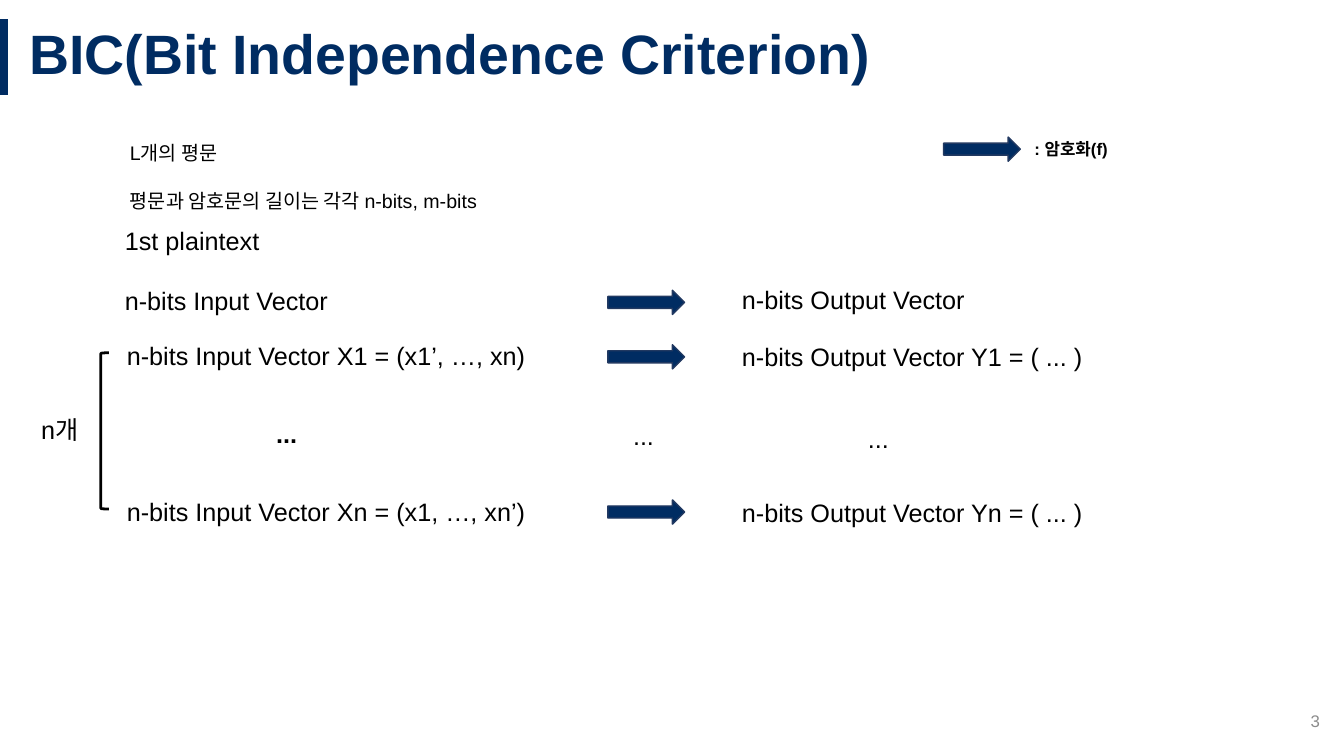
from lxml import etree
from pptx import Presentation
from pptx.dml.color import RGBColor
from pptx.enum.shapes import MSO_CONNECTOR, MSO_SHAPE
from pptx.enum.text import MSO_ANCHOR, PP_ALIGN
from pptx.oxml.ns import qn
from pptx.util import Inches, Pt

NAVY = RGBColor(0x00, 0x2C, 0x62)
OUTLINE = RGBColor(0x22, 0x39, 0x61)
BLACK = RGBColor(0x00, 0x00, 0x00)
GRAY = RGBColor(0x8C, 0x8C, 0x8C)
STRAIGHT = MSO_CONNECTOR.STRAIGHT
RIGHT_ARROW = MSO_SHAPE.RIGHT_ARROW
LEFT_BRACKET = MSO_SHAPE.LEFT_BRACKET
MIDDLE = MSO_ANCHOR.MIDDLE
LEFT, RIGHT = PP_ALIGN.LEFT, PP_ALIGN.RIGHT

INPUT_COLUMN, ARROW_COLUMN, OUTPUT_COLUMN = 1.16, 6.03, 7.26
INPUT_WIDTH, OUTPUT_WIDTH, LINE_HEIGHT = 5.07, 4.95, 0.4
FIRST_ROW, LAST_ROW = 3.33, 4.87
ARROW_DROP = 0.09

presentation = Presentation()
presentation.slide_width = Inches(13.33)
presentation.slide_height = Inches(7.5)
slide = presentation.slides.add_slide(presentation.slide_layouts[5])


def write_text(shape, lines, size=18, bold=False, color=BLACK, **paragraph_format):
    frame = shape.text_frame
    frame.word_wrap = True
    frame.text = "\n".join(lines)
    font_format = {"name": "Arial", "size": Pt(size), "bold": bold}
    for paragraph in frame.paragraphs:
        for name, value in paragraph_format.items():
            setattr(paragraph, name, value)
        for run in paragraph.runs:
            for name, value in font_format.items():
                setattr(run.font, name, value)
            run.font.color.rgb = color
    return frame


def add_outlined(kind, left, top, width, height, color, weight):
    shape = slide.shapes.add_shape(
        kind, Inches(left), Inches(top), Inches(width), Inches(height))
    shape.shadow.inherit = False
    shape.line.color.rgb = color
    shape.line.width = Pt(weight)
    return shape


bar = slide.shapes.add_connector(
    STRAIGHT, Inches(0.04), Inches(0.19), Inches(0.04), Inches(0.94))
bar.line.color.rgb = NAVY
bar.line.width = Pt(6)
etree.SubElement(bar._element.spPr, qn("a:effectLst"))

title = slide.shapes.title
title.left, title.top = Inches(0.19), Inches(0.19)
title.width, title.height = Inches(13.15), Inches(0.75)
title_frame = write_text(
    title, ["BIC(Bit Independence Criterion)"], 39.6, True, NAVY,
    alignment=LEFT, line_spacing=0.9)
title_frame.vertical_anchor = MIDDLE

texts = [
    (1.19, 1.12, 6.1, 1.03, ["L개의 평문", "평문과 암호문의 길이는 각각 n-bits, m-bits"],
     {"size": 14, "line_spacing": 2.0}),
    (10.16, 1.33, 1.29, 0.29, [": 암호화(f)"], {"size": 12, "bold": True}),
    (1.14, 2.19, INPUT_WIDTH, 1, ["1st plaintext", "n-bits Input Vector"], {}),
    (OUTPUT_COLUMN, 2.77, OUTPUT_WIDTH, LINE_HEIGHT, ["n-bits Output Vector"], {}),
    (2.64, 4.1, 1.15, LINE_HEIGHT, ["..."], {"bold": True}),
    (6.18, 4.12, OUTPUT_WIDTH, LINE_HEIGHT, ["..."], {}),
    (8.51, 4.15, 1.14, LINE_HEIGHT, ["..."], {}),
    (0.31, 4.06, 0.61, LINE_HEIGHT, ["n개"], {}),
    (10.19, 6.95, 3, LINE_HEIGHT, ["3"],
     {"size": 12, "color": GRAY, "alignment": RIGHT}),
]
arrows = [(9.36, 1.36), (ARROW_COLUMN, 2.88)]

vector_rows = [
    (FIRST_ROW, "X1 = (x1’, …, xn)", "Y1 = ( ... )"),
    (LAST_ROW, "Xn = (x1, …, xn’)", "Yn = ( ... )"),
]
for top, input_vector, output_vector in vector_rows:
    texts += [
        (INPUT_COLUMN, top, INPUT_WIDTH, LINE_HEIGHT,
         [f"n-bits Input Vector {input_vector}"], {}),
        (OUTPUT_COLUMN, top + 0.01, OUTPUT_WIDTH, LINE_HEIGHT,
         [f"n-bits Output Vector {output_vector}"], {}),
    ]
    arrows.append((ARROW_COLUMN, top + ARROW_DROP))

for left, top, width, height, lines, text_format in texts:
    box = slide.shapes.add_textbox(
        Inches(left), Inches(top), Inches(width), Inches(height))
    frame = write_text(box, lines, **text_format)
    if lines[0] == "1st plaintext":
        frame.paragraphs[1].space_before = Pt(21)
    if lines == ["3"]:
        frame.vertical_anchor = MIDDLE

for left, top in arrows:
    arrow = add_outlined(RIGHT_ARROW, left, top, 0.76, 0.24, OUTLINE, 1)
    arrow.fill.solid()
    arrow.fill.fore_color.rgb = NAVY

bracket = add_outlined(LEFT_BRACKET, 1, 3.5, 0.08, 1.55, BLACK, 2)
bracket.fill.background()

presentation.save("out.pptx")
